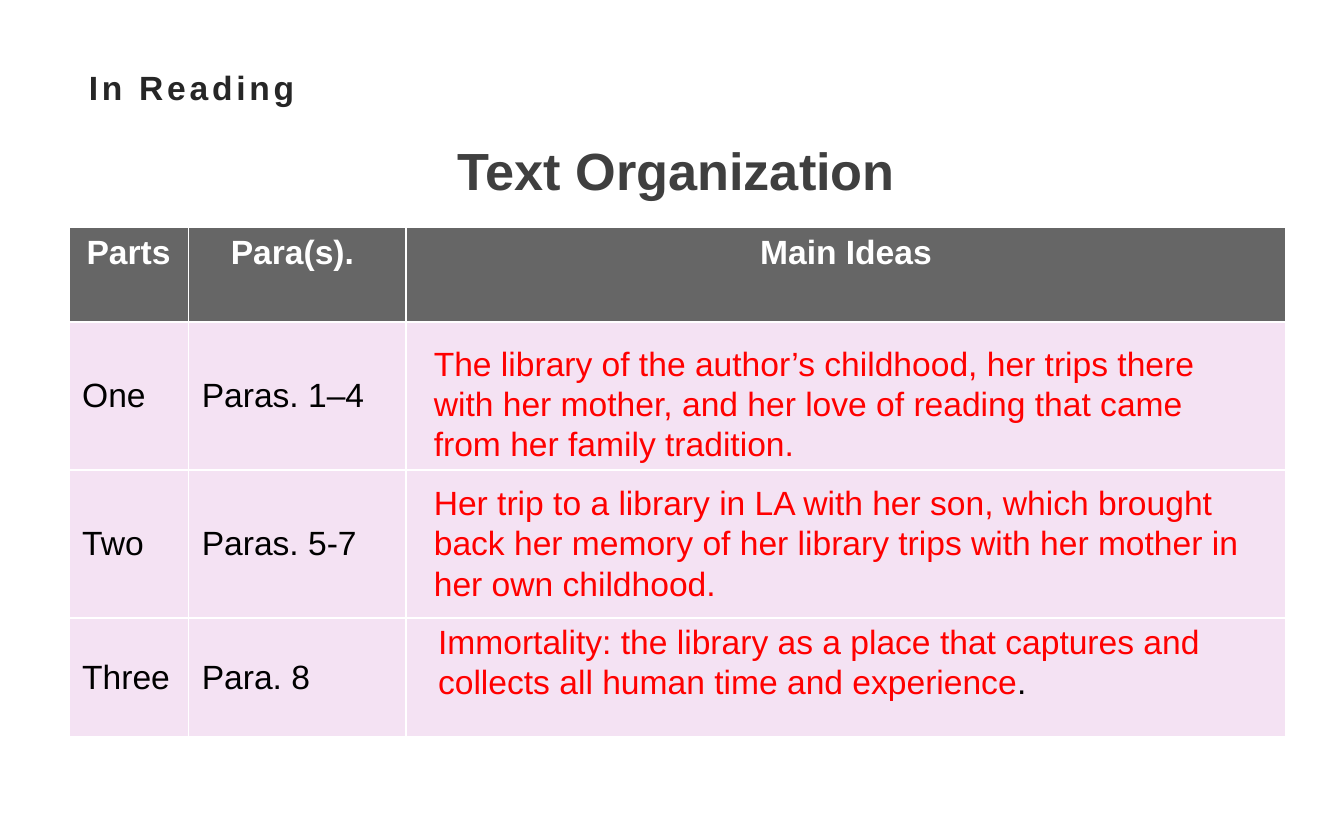
"""Build the Text Organization slide: a heading, a table of parts and their main ideas."""
from dataclasses import dataclass

from pptx import Presentation
from pptx.dml.color import RGBColor as Rgb
from pptx.enum.text import MSO_ANCHOR as Anchor, MSO_AUTO_SIZE as AutoSize, PP_ALIGN as Align
from pptx.slide import Slide
from pptx.text.text import TextFrame
from pptx.util import Cm, Pt


@dataclass(frozen=True)
class Theme:
    font: str = "Arial"
    body_size: int = 18
    heading_size: int = 28
    section: str = "262626"
    heading: str = "3F3F3F"
    header_text: str = "FFFFFF"
    header_fill: str = "666666"
    row_text: str = "000000"
    row_fill: str = "F4E2F3"
    idea: str = "FF0000"


@dataclass(frozen=True)
class Area:
    left: float
    top: float
    width: float
    height: float

    def lengths(self) -> tuple[Cm, Cm, Cm, Cm]:
        return Cm(self.left), Cm(self.top), Cm(self.width), Cm(self.height)


@dataclass(frozen=True)
class Part:
    name: str
    paragraphs: str
    idea: str
    area: Area
    ending: str = ""


THEME = Theme()
HEADERS = ("Parts", "Para(s). ", "Main Ideas")
COLUMN_WIDTHS = (2.26, 4.11, 16.64)
ROW_HEIGHTS = (1.8, 2.8, 2.8, 2.24)
PARTS = (
    Part("One", "Paras. 1–4",
         "The library of the author’s childhood, her trips there with her mother, "
         "and her love of reading that came from her family tradition.",
         Area(7.95, 6.35, 15.14, 2.57)),
    Part("Two", "Paras. 5-7",
         "Her trip to a library in LA with her son, which brought back her memory "
         "of her library trips with her mother in her own childhood.",
         Area(7.95, 8.99, 16.36, 2.57)),
    Part("Three", "Para. 8",
         "Immortality: the library as a place that captures and collects all human "
         "time and experience",
         Area(8.03, 11.61, 15.95, 1.8), ending="."),
)


def write(frame: TextFrame, text: str, *, color: str, size: int = THEME.body_size,
          bold: bool = False, align: Align = Align.LEFT, line_spacing: float | None = None,
          tracking: float = 0) -> None:
    """Append a formatted run to the first paragraph of a frame."""
    para = frame.paragraphs[0]
    para.alignment = align
    if line_spacing:
        para.line_spacing = line_spacing
    span = para.add_run()
    span.text = text
    span.font.name = THEME.font
    span.font.size = Pt(size)
    span.font.bold = bold
    span.font.color.rgb = Rgb.from_string(color)
    if tracking:
        span.font._element.set("spc", str(int(tracking * 100)))


def add_box(page: Slide, area: Area, *, grow: bool = True) -> TextFrame:
    """Add a wrapping text box and return its frame."""
    frame = page.shapes.add_textbox(*area.lengths()).text_frame
    frame.word_wrap = True
    frame.auto_size = AutoSize.SHAPE_TO_FIT_TEXT if grow else AutoSize.NONE
    return frame


def add_parts_table(page: Slide, area: Area) -> None:
    """Add the table of parts, leaving the main ideas column open."""
    rows = [HEADERS] + [(part.name, part.paragraphs, "") for part in PARTS]
    table = page.shapes.add_table(len(rows), len(HEADERS), *area.lengths()).table
    for column, width in zip(table.columns, COLUMN_WIDTHS):
        column.width = Cm(width)
    for index, (row, height, texts) in enumerate(zip(table.rows, ROW_HEIGHTS, rows)):
        row.height = Cm(height)
        header = index == 0
        for cell, text in zip(row.cells, texts):
            cell.fill.solid()
            cell.fill.fore_color.rgb = Rgb.from_string(
                THEME.header_fill if header else THEME.row_fill)
            cell.vertical_anchor = Anchor.TOP if header else Anchor.MIDDLE
            if text:
                write(cell.text_frame, text, bold=header,
                      color=THEME.header_text if header else THEME.row_text,
                      align=Align.CENTER if header else Align.LEFT)


def main() -> None:
    """Build and save the deck."""
    deck = Presentation()
    deck.slide_width, deck.slide_height = Cm(25.4), Cm(15.88)
    page = deck.slides.add_slide(deck.slide_layouts[6])

    section = add_box(page, Area(1.4, 1.02, 22.6, 1.02), grow=False)
    section.margin_left, section.margin_right = Cm(0.28), Cm(0.2)
    section.margin_top = section.margin_bottom = Cm(0.1)
    write(section, "In Reading", color=THEME.section, bold=True, line_spacing=1.2, tracking=2)

    heading = add_box(page, Area(8.08, 2.13, 9.4, 1.8))
    write(heading, "Text Organization", color=THEME.heading, size=THEME.heading_size,
          bold=True, align=Align.CENTER, line_spacing=1.3)

    add_parts_table(page, Area(1.3, 4.29, sum(COLUMN_WIDTHS), sum(ROW_HEIGHTS)))
    for part in PARTS:
        frame = add_box(page, part.area)
        write(frame, part.idea, color=THEME.idea)
        if part.ending:
            write(frame, part.ending, color=THEME.row_text)

    deck.save("out.pptx")


if __name__ == "__main__":
    main()
